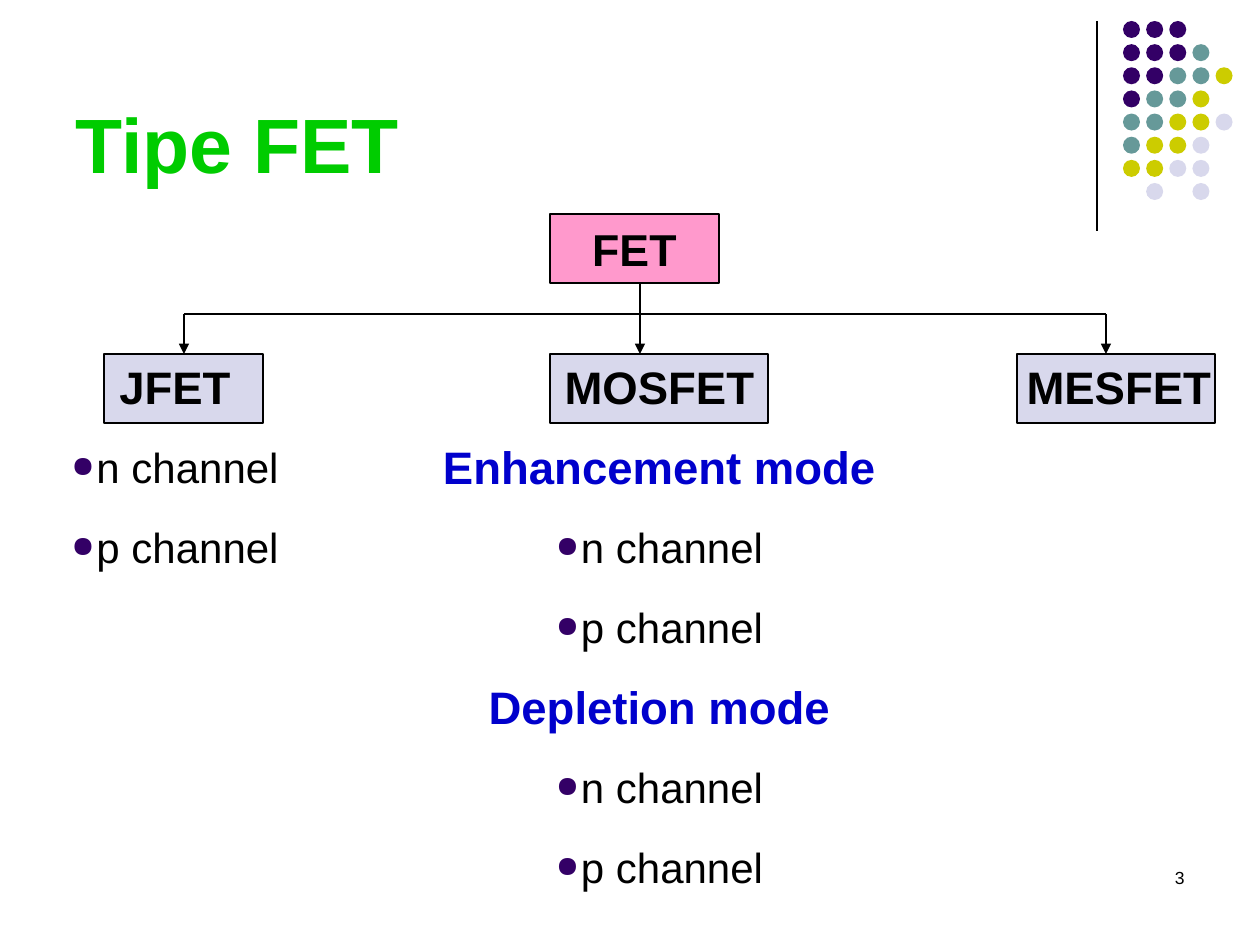
from dataclasses import dataclass
from lxml import etree
from pptx import Presentation
from pptx.dml.color import RGBColor
from pptx.enum.shapes import MSO_CONNECTOR, MSO_SHAPE
from pptx.enum.text import MSO_ANCHOR, PP_ALIGN
from pptx.oxml.ns import qn
from pptx.util import Emu, Pt


@dataclass(frozen=True)
class Theme:
    font: str = "Arial"
    black: str = "000000"
    title: str = "00CC00"
    mode: str = "0000CC"
    root: str = "FF99CC"
    branch: str = "D8D8EC"
    bullet: str = "330066"
    title_size: float = 44
    root_size: float = 25.5
    head_size: float = 26
    item_size: float = 24
    number_size: float = 10
    line_width: float = 0.75


THEME = Theme()

# Content: "head" and "mode" cells are bold, "item" cells are bulleted
TITLE = "Tipe FET"
ROOT = "FET"
PAGE_NUMBER = "3"
N_CHANNEL, P_CHANNEL = ("item", "n channel"), ("item", "p channel")
COLUMNS = [
    [("head", "JFET"), N_CHANNEL, P_CHANNEL],
    [("head", "MOSFET"), ("mode", "Enhancement mode"), N_CHANNEL, P_CHANNEL,
     ("mode", "Depletion mode"), N_CHANNEL, P_CHANNEL],
    [("head", "MESFET")],
]
DOT_ROWS = ["PPP", "PPPT", "PPTTY", "PTTY", "TTYYL", "TYYL", "YYLL", " L L"]
DOT_COLORS = {"P": "330066", "T": "669999", "Y": "CCCC00", "L": "D8D8EC"}

# Geometry in px
TITLE_BOX = (63, 16, 1040, 179)
NUMBER_BOX = (903, 861, 294, 63)
ROOT_BOX = (550, 214, 169, 69)
BRANCH_TOP, BRANCH_HEIGHT = 354, 69
BRANCHES = [(104, 159), (550, 218), (1017, 198)]  # left, width
ARROWS_X = [184, 640, 1106]
BUS_Y = 314
TABLE_LEFT, TABLE_TOP = 44, 349
COLUMN_WIDTHS = [262, 707, 212]
ROW_HEIGHT = 80
DOT_LEFT, DOT_TOP, DOT_SIZE, DOT_SPAN = 1123, 21, 17, 162


def px(length):
    return Emu(round(length * 914400 / 126))


def color(code):
    return RGBColor.from_string(code)


def format_text(para, text, size, code=THEME.black, bold=False, align=PP_ALIGN.LEFT):
    para.text = text
    para.alignment = align
    font = para.font
    font.name, font.size, font.bold = THEME.font, Pt(size), bold
    font.color.rgb = color(code)


def add_bullet(para):
    properties = para._p.get_or_add_pPr()
    properties.set("marL", str(px(25)))
    properties.set("indent", str(-px(25)))
    bullet_color = etree.SubElement(properties, qn("a:buClr"))
    etree.SubElement(bullet_color, qn("a:srgbClr"), val=THEME.bullet)
    etree.SubElement(properties, qn("a:buSzPct"), val="70000")
    etree.SubElement(properties, qn("a:buChar"), char="●")


def add_shape(page, kind, bounds, fill, outlined=True):
    shape = page.shapes.add_shape(kind, *map(px, bounds))
    shape.shadow.inherit = False
    shape.fill.solid()
    shape.fill.fore_color.rgb = color(fill)
    if outlined:
        shape.line.color.rgb = color(THEME.black)
        shape.line.width = Pt(THEME.line_width)
    else:
        shape.line.fill.background()
    return shape


def add_line(page, start, end, arrow=False):
    line = page.shapes.add_connector(MSO_CONNECTOR.STRAIGHT, *map(px, start + end))
    line.line.color.rgb = color(THEME.black)
    line.line.width = Pt(THEME.line_width)
    if arrow:
        etree.SubElement(line.line._get_or_add_ln(), qn("a:tailEnd"), type="triangle")
    etree.SubElement(line._element.spPr, qn("a:effectLst"))


def add_dots(page):
    add_line(page, (1097, 21), (1097, 231))
    pitch = DOT_SPAN / (len(DOT_ROWS) - 1)
    for row, codes in enumerate(DOT_ROWS):
        for column, code in enumerate(codes):
            if code in DOT_COLORS:
                bounds = (DOT_LEFT + column * pitch, DOT_TOP + row * pitch, DOT_SIZE, DOT_SIZE)
                add_shape(page, MSO_SHAPE.OVAL, bounds, DOT_COLORS[code], outlined=False)


def add_title(page):
    title = page.shapes.title
    title.left, title.top, title.width, title.height = map(px, TITLE_BOX)
    title.text_frame.vertical_anchor = MSO_ANCHOR.BOTTOM
    format_text(title.text_frame.paragraphs[0], TITLE, THEME.title_size, THEME.title, True)


def add_tree(page):
    root = add_shape(page, MSO_SHAPE.RECTANGLE, ROOT_BOX, THEME.root)
    root.text_frame.vertical_anchor = MSO_ANCHOR.MIDDLE
    format_text(root.text_frame.paragraphs[0], ROOT, THEME.root_size,
                bold=True, align=PP_ALIGN.CENTER)
    for left, width in BRANCHES:
        bounds = (left, BRANCH_TOP, width, BRANCH_HEIGHT)
        add_shape(page, MSO_SHAPE.RECTANGLE, bounds, THEME.branch)

    # The middle arrow starts at the root, the outer ones at the bus
    root_bottom = ROOT_BOX[1] + ROOT_BOX[3]
    add_line(page, (ARROWS_X[0], BUS_Y), (ARROWS_X[-1], BUS_Y))
    for x, top in zip(ARROWS_X, (BUS_Y, root_bottom, BUS_Y)):
        add_line(page, (x, top), (x, BRANCH_TOP), arrow=True)


def add_types_table(page):
    row_count = max(map(len, COLUMNS))
    bounds = (TABLE_LEFT, TABLE_TOP, sum(COLUMN_WIDTHS), row_count * ROW_HEIGHT)
    frame = page.shapes.add_table(row_count, len(COLUMNS), *map(px, bounds))
    table = frame.table
    table.first_row = table.horz_banding = False
    # The "No Style, No Grid" table style
    style = table._tbl.tblPr.find(qn("a:tableStyleId"))
    style.text = "{2D5ABB26-0587-4C30-8999-92F81FD0307C}"
    for row in table.rows:
        row.height = px(ROW_HEIGHT)
    for column, width in zip(table.columns, COLUMN_WIDTHS):
        column.width = px(width)
    for cell in table.iter_cells():
        cell.fill.background()
        cell.vertical_anchor = MSO_ANCHOR.MIDDLE

    looks = {
        "head": (THEME.head_size, THEME.black, True),
        "mode": (THEME.head_size, THEME.mode, True),
        "item": (THEME.item_size, THEME.black, False),
    }
    for column, entries in enumerate(COLUMNS):
        for row, (kind, text) in enumerate(entries):
            para = table.cell(row, column).text_frame.paragraphs[0]
            if kind == "item":
                add_bullet(para)
            format_text(para, text, *looks[kind], align=PP_ALIGN.CENTER)


def add_page_number(page):
    box = page.shapes.add_textbox(*map(px, NUMBER_BOX))
    box.text_frame.word_wrap = True
    format_text(box.text_frame.paragraphs[0], PAGE_NUMBER, THEME.number_size,
                align=PP_ALIGN.RIGHT)


def main():
    deck = Presentation()
    deck.slide_width, deck.slide_height = px(1260), px(945)
    page = deck.slides.add_slide(deck.slide_layouts[5])
    add_dots(page)
    add_title(page)
    add_tree(page)
    add_types_table(page)
    add_page_number(page)
    deck.save("out.pptx")


if __name__ == "__main__":
    main()
